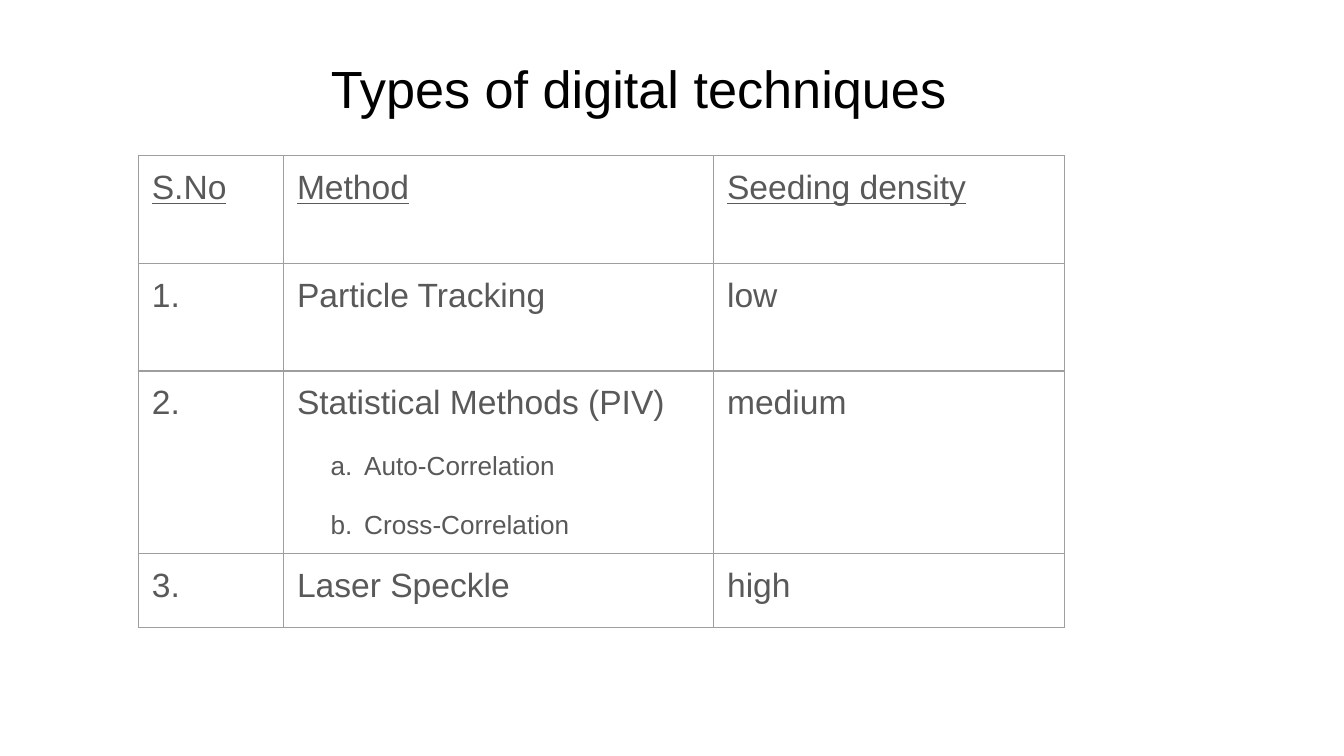
import pptx
import pptx.dml.color
import pptx.enum.text
import pptx.oxml
import pptx.oxml.ns
import pptx.util
from pptx.util import Inches, Pt

COLORS = {"title": "000000", "text": "595959", "border": "9E9E9E"}
FONT = "Arial"
TITLE = "Types of digital techniques"
HEADER = ["S.No", "Method", "Seeding density"]
METHODS = [
    ("Particle Tracking", [], "low"),
    ("Statistical Methods (PIV)", ["Auto-Correlation", "Cross-Correlation"], "medium"),
    ("Laser Speckle", [], "high"),
]
COL_WIDTHS = [1.08, 3.2, 2.61]
ROW_HEIGHTS = [0.8, 0.8, 1.2, 0.55]
MARGIN = Inches(0.1)


def style(p, size, color, underline=False):
    p.font.name = FONT
    p.font.size = Pt(size)
    p.font.underline = underline
    p.font.color.rgb = pptx.dml.color.RGBColor.from_string(COLORS[color])


def add_letter(p):
    """Number the paragraph a., b., ... with a hanging indent."""
    pPr = p._p.get_or_add_pPr()
    pPr.set("marL", str(Inches(0.5)))
    pPr.set("indent", str(Inches(-0.25)))
    ns = pptx.oxml.ns.nsdecls("a")
    for xml in (
        f'<a:buClr {ns}><a:srgbClr val="{COLORS["text"]}"/></a:buClr>',
        f'<a:buFont {ns} typeface="{FONT}"/>',
        f'<a:buAutoNum {ns} type="alphaLcPeriod"/>',
    ):
        bullet = pptx.oxml.parse_xml(xml)
        pPr.insert_element_before(bullet, "a:defRPr")


def add_borders(cell):
    tcPr = cell._tc.get_or_add_tcPr()
    for side in "LRTB":
        tcPr.append(pptx.oxml.parse_xml(
            f'<a:ln{side} {pptx.oxml.ns.nsdecls("a")} w="{Pt(0.75)}"><a:solidFill>'
            f'<a:srgbClr val="{COLORS["border"]}"/></a:solidFill></a:ln{side}>'))


def fill_cell(cell, text, subitems=(), underline=False):
    cell.margin_left = cell.margin_right = cell.margin_top = MARGIN
    cell.margin_bottom = Inches(0.05) if subitems else MARGIN
    add_borders(cell)
    cell.fill.background()
    tf = cell.text_frame
    for i, line in enumerate([text, *subitems]):
        p = tf.add_paragraph() if i else tf.paragraphs[0]
        p.text = line
        p.space_after = Pt(16)
        style(p, 14 if i else 18, "text", underline)
        if i:
            add_letter(p)


prs = pptx.Presentation()
prs.slide_width = Inches(10)
prs.slide_height = prs.slide_width * 9 // 16
s = prs.slides.add_slide(prs.slide_layouts[6])

tf = s.shapes.add_textbox(Inches(0.09), Inches(0.32), Inches(9.32), Inches(0.63)).text_frame
tf.word_wrap = True
tf.margin_left = tf.margin_right = tf.margin_top = tf.margin_bottom = MARGIN
p = tf.paragraphs[0]
p.text = TITLE
p.alignment = pptx.enum.text.PP_ALIGN.CENTER
style(p, 28, "title")

table = s.shapes.add_table(
    len(ROW_HEIGHTS), len(COL_WIDTHS), Inches(1.03), Inches(1.16),
    Inches(sum(COL_WIDTHS)), Inches(sum(ROW_HEIGHTS))).table
table.first_row = table.horz_banding = False
for column, width in zip(table.columns, COL_WIDTHS):
    column.width = Inches(width)
for row, height in zip(table.rows, ROW_HEIGHTS):
    row.height = Inches(height)

for c, text in enumerate(HEADER):
    fill_cell(table.cell(0, c), text, underline=True)
for r, (method, variants, density) in enumerate(METHODS, 1):
    fill_cell(table.cell(r, 0), f"{r}.")
    fill_cell(table.cell(r, 1), method, variants)
    fill_cell(table.cell(r, 2), density)

prs.save("out.pptx")
